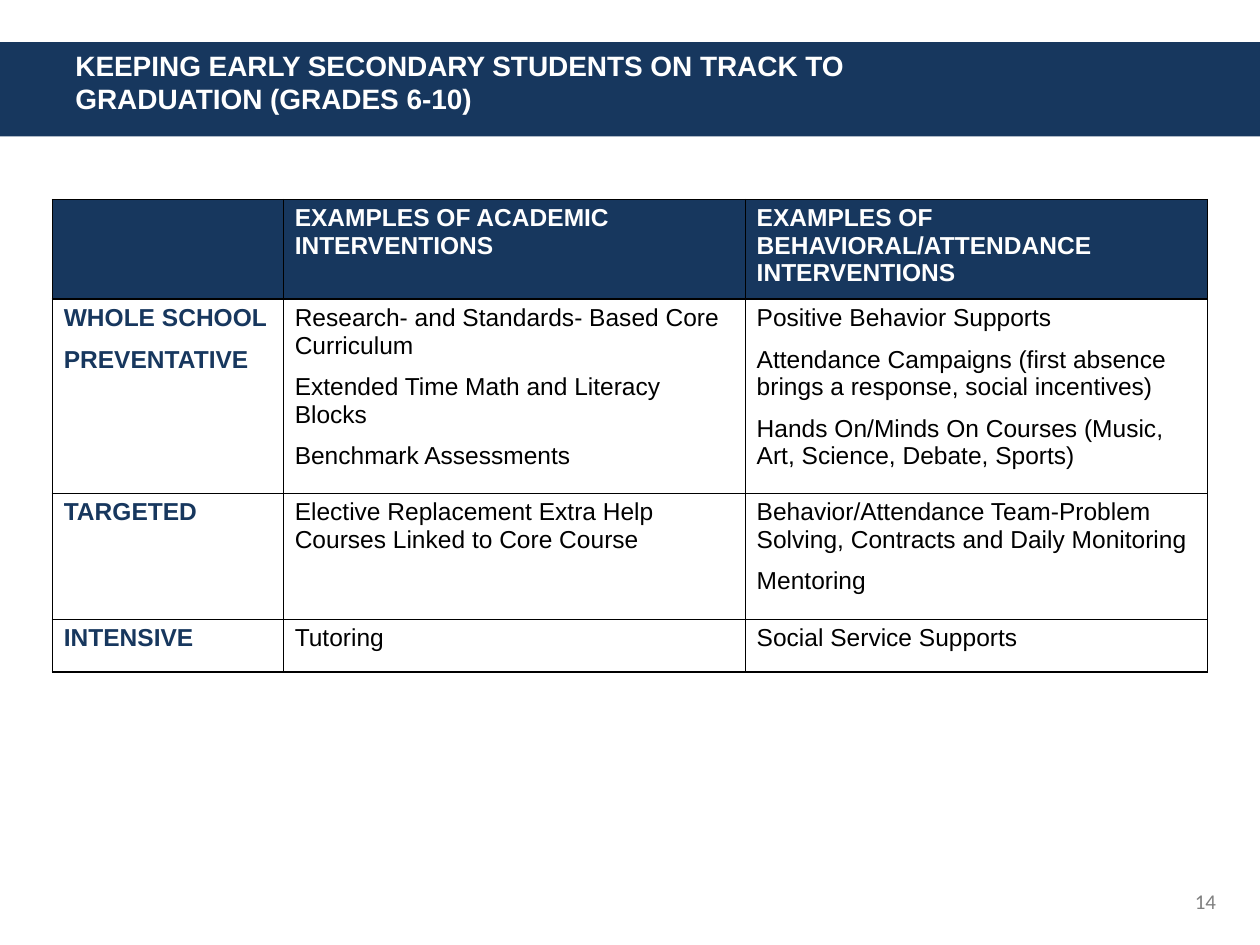
from lxml.etree import SubElement
from pptx import Presentation
from pptx.dml.color import RGBColor
from pptx.enum.shapes import MSO_SHAPE
from pptx.enum.text import PP_ALIGN
from pptx.oxml.ns import qn
from pptx.util import Inches, Pt

HUES = {"navy": "17375E", "white": "FFFFFF", "black": "000000", "gray": "808080"}
UNIT = Inches(10) // 120


def grid(*spans):
    return [int(span * UNIT) for span in spans]


def write(frame, text, size=14, font="Arial", hue="black", bold=False, gap=0, align=None):
    frame.word_wrap = True
    for i, line in enumerate(text.split("\n")):
        para = frame.paragraphs[0] if i == 0 else frame.add_paragraph()
        para.space_before = para.space_after = Pt(gap)
        para.alignment = align
        run = para.add_run()
        run.text = line
        run.font.size = Pt(size)
        run.font.name = font
        run.font.bold = bold
        run.font.color.rgb = RGBColor.from_string(HUES[hue])


deck = Presentation()
deck.slide_width, deck.slide_height = grid(120, 90)
slide = deck.slides.add_slide(deck.slide_layouts[6])
shapes = slide.shapes

band = shapes.add_shape(MSO_SHAPE.RECTANGLE, *grid(0, 4, 120, 9))
band.shadow.inherit = False
band.fill.solid()
band.fill.fore_color.rgb = RGBColor.from_string(HUES["navy"])
band.line.fill.background()

rows = [
    ("", "EXAMPLES OF ACADEMIC INTERVENTIONS",
     "EXAMPLES OF BEHAVIORAL/ATTENDANCE INTERVENTIONS"),
    ("WHOLE SCHOOL\nPREVENTATIVE",
     "Research- and Standards- Based Core Curriculum\n"
     "Extended Time Math and Literacy Blocks\nBenchmark Assessments",
     "Positive Behavior Supports\n"
     "Attendance Campaigns (first absence brings a response, social incentives)\n"
     "Hands On/Minds On Courses (Music, Art, Science, Debate, Sports)"),
    ("TARGETED", "Elective Replacement Extra Help Courses Linked to Core Course",
     "Behavior/Attendance Team-Problem Solving, Contracts and Daily Monitoring\nMentoring"),
    ("INTENSIVE", "Tutoring", "Social Service Supports"),
]
table = shapes.add_table(4, 3, *grid(5, 19, 110, 45)).table
table.horz_banding = False
for col, width in zip(table.columns, grid(22, 44, 44)):
    col.width = width
for row, height in zip(table.rows, grid(9.5, 18.5, 12, 5)):
    row.height = height

for r, row in enumerate(rows):
    for c, text in enumerate(row):
        cell = table.cell(r, c)
        cell.margin_left = cell.margin_right = Inches(0.09)
        cell.margin_top = cell.margin_bottom = Inches(0.04)
        props = cell._tc.get_or_add_tcPr()
        for side in ("a:lnL", "a:lnR", "a:lnT", "a:lnB"):
            edge = SubElement(props, qn(side), w=str(Pt(1)))
            fill = SubElement(edge, qn("a:solidFill"))
            SubElement(fill, qn("a:srgbClr"), val=HUES["black"])
        cell.fill.solid()
        cell.fill.fore_color.rgb = RGBColor.from_string(HUES["white" if r else "navy"])
        if text:
            hue = "white" if r == 0 else "black" if c else "navy"
            write(cell.text_frame, text, hue=hue, bold=hue != "black", gap=4)

title = shapes.add_textbox(*grid(6, 4, 92, 10.4))
write(title.text_frame, "KEEPING EARLY SECONDARY STUDENTS ON TRACK TO GRADUATION (GRADES 6-10)",
      size=16, hue="white", bold=True)
page = shapes.add_textbox(*grid(106, 84, 11, 3.6))
write(page.text_frame, "14", size=12, font="Calibri", hue="gray", align=PP_ALIGN.RIGHT)

deck.save("out.pptx")
